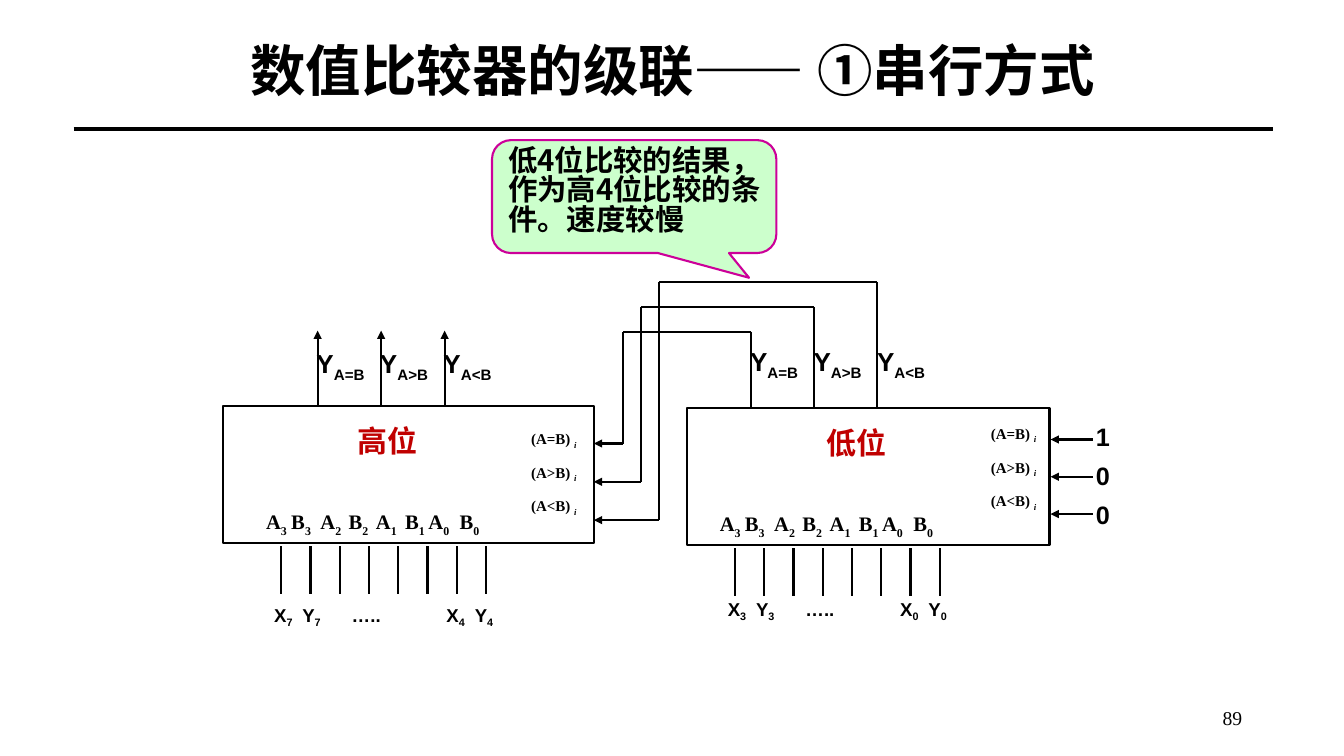
from lxml.etree import SubElement
from pptx import Presentation
from pptx.dml.color import RGBColor
from pptx.enum.shapes import MSO_CONNECTOR, MSO_SHAPE
from pptx.enum.text import MSO_ANCHOR, PP_ALIGN
from pptx.oxml.ns import qn
from pptx.util import Inches, Pt

COLORS = {"black": "000000", "white": "FFFFFF", "red": "C00000",
          "green": "CCFFCC", "magenta": "CC0099"}
CJK, SANS, SERIF = "Noto Sans CJK SC", "Arial", "Times New Roman"
RELATIONS = ["A=B", "A>B", "A<B"]
PINS = "A|3|\tB|3|\tA|2|\tB|2|\tA|1|\tB|1|\tA|0|\tB|0"
PIN_TABS = [0.25, 0.54, 0.82, 1.09, 1.38, 1.61, 1.92]
SIGNAL_TABS = [0.28, 0.77, 1.71, 1.99]


def rgb(name):
    return RGBColor.from_string(COLORS[name])


def write(tf, text, size, font=SANS, color="black", bold=True, align=PP_ALIGN.LEFT,
          spacing=None, before=0, anchor=MSO_ANCHOR.TOP, tabs=(), sub=-25, sub_italic=False):
    tf.word_wrap = True
    tf.vertical_anchor = anchor
    for i, line in enumerate(text.split("\n")):
        p = tf.paragraphs[0] if i == 0 else tf.add_paragraph()
        p.alignment = align
        p.space_before = Pt(before if i else 0)
        if spacing:
            p.line_spacing = spacing
        if tabs:
            tab_list = SubElement(p._p.get_or_add_pPr(), qn("a:tabLst"))
            for pos in tabs:
                SubElement(tab_list, qn("a:tab"), pos=str(Inches(pos)), algn="l")
        for j, part in enumerate(line.split("|")):
            if not part:
                continue
            r = p.add_run()
            r.text = part
            r.font.size = Pt(size)
            r.font.name = font
            r.font.bold = bold
            r.font.color.rgb = rgb(color)
            rpr = r._r.get_or_add_rPr()
            SubElement(rpr, qn("a:ea"), typeface=font)
            if j % 2:
                rpr.set("baseline", str(sub * 1000))
                r.font.italic = sub_italic


def add_text(s, x, y, w, h, text, size, **fmt):
    tb = s.shapes.add_textbox(Inches(x), Inches(y), Inches(w), Inches(h))
    write(tb.text_frame, text, size, **fmt)


def add_line(s, x1, y1, x2, y2, width=1.5, arrow=False):
    c = s.shapes.add_connector(MSO_CONNECTOR.STRAIGHT, Inches(x1), Inches(y1),
                               Inches(x2), Inches(y2))
    c.line.color.rgb = rgb("black")
    c.line.width = Pt(width)
    if arrow:
        SubElement(c.line._get_or_add_ln(), qn("a:headEnd"), type="triangle")
    SubElement(c._element.spPr, qn("a:effectLst"))


def add_box(s, shape, x, y, w, h, fill, line):
    sp = s.shapes.add_shape(shape, Inches(x), Inches(y), Inches(w), Inches(h))
    sp.shadow.inherit = False
    sp.fill.solid()
    sp.fill.fore_color.rgb = rgb(fill)
    sp.line.color.rgb = rgb(line)
    sp.line.width = Pt(1.5)
    return sp


def add_header(s, x, y, w):
    title = s.shapes.title
    title.left, title.top = Inches(x + 0.19), Inches(y)
    title.width, title.height = Inches(w - 0.4), Inches(0.7)
    write(title.text_frame, "数值比较器的级联—— ①串行方式", 39.6, font=CJK,
          align=PP_ALIGN.CENTER, spacing=0.9, anchor=MSO_ANCHOR.MIDDLE)
    add_line(s, x, y + 0.9, x + w, y + 0.9, width=3)


def add_callout(s, x, y, w, h):
    sp = add_box(s, MSO_SHAPE.ROUNDED_RECTANGULAR_CALLOUT, x, y, w, h, "green", "magenta")
    for i, value in enumerate([0.404, 0.719, 0.167]):
        sp.adjustments[i] = value
    add_text(s, x + 0.06, y + 0.03, w + 0.03, h + 0.04,
             "低4位比较的结果，作为高4位比较的条件。速度较慢", 21, font=CJK, spacing=0.83)


def add_comparator(s, x, y, w, h, name, name_x, pin_x, output_x, output_y,
                   cascade_x, cascade_y, signals, signal_y):
    add_box(s, MSO_SHAPE.RECTANGLE, x, y, w, h, "white", "black")
    add_text(s, x + name_x, y + 0.17, 1.04, 0.46, name, 21.4, font=CJK,
             color="red", spacing=0.83)
    for i, relation in enumerate(RELATIONS):
        add_text(s, x + output_x + 0.63 * i - 0.11, y + output_y, 0.95, 0.41,
                 f"Y|{relation}", 18.6)
        add_text(s, x + cascade_x, y + cascade_y + 0.335 * i, 0.94, 0.28,
                 f"({relation}) |i", 10.7, font=SERIF, sub_italic=True)
    for i in range(8):
        px = x + pin_x + 0.29 * i
        add_line(s, px, y + h + 0.03, px, y + h + 0.5)
    add_text(s, x + pin_x - 0.25, y + 0.75, 2.82, 0.77, PINS, 14.7, font=SERIF,
             spacing=1.2, anchor=MSO_ANCHOR.MIDDLE, tabs=PIN_TABS, sub=-30)
    first, last = signals
    add_text(s, x + pin_x - 0.17, y + signal_y, 2.61, 0.33,
             f"X|{first}|\tY|{first}|\t…..\tX|{last}|\tY|{last}", 13.3, tabs=SIGNAL_TABS)


def add_outputs(s, x, y):
    for i in range(3):
        add_line(s, x + 0.63 * i, y - 0.75, x + 0.63 * i, y, arrow=True)


def add_cascade(s, port_x, port_y, output_x, output_y):
    for i in range(3):
        bus, level = port_x + 0.29 + 0.18 * i, output_y - 0.76 - 0.245 * i
        port, output = port_y + 0.38 * i, output_x + 0.625 * i
        add_line(s, output, level, output, output_y)
        add_line(s, bus, level, output, level)
        add_line(s, bus, level, bus, port)
        add_line(s, port_x, port, bus, port, arrow=True)


def add_inputs(s, x, y):
    for i in range(3):
        add_line(s, x, y + 0.37 * i, x + 0.42, y + 0.37 * i, arrow=True)
    add_text(s, x + 0.35, y - 0.18, 0.69, 1.18, "1\n0\n0", 18, spacing=0.85, before=9.5)


def main():
    prs = Presentation()
    prs.slide_width, prs.slide_height = Inches(13.33), Inches(7.5)
    s = prs.slides.add_slide(prs.slide_layouts[5])
    add_header(s, 0.73, 0.38, 11.9)
    add_callout(s, 4.88, 1.39, 2.82, 1.12)
    add_comparator(s, 2.21, 4.03, 3.68, 1.36, "高位", name_x=1.24, pin_x=0.58,
                   output_x=0.94, output_y=-0.63, cascade_x=2.96, cascade_y=0.18,
                   signals=(7, 4), signal_y=1.91)
    add_comparator(s, 6.81, 4.05, 3.6, 1.36, "低位", name_x=1.29, pin_x=0.48,
                   output_x=0.64, output_y=-0.67, cascade_x=2.92, cascade_y=0.11,
                   signals=(3, 0), signal_y=1.83)
    add_outputs(s, 3.15, 4.03)
    add_cascade(s, 5.89, 4.4, 7.45, 4.05)
    add_inputs(s, 10.42, 4.36)
    add_text(s, 9.42, 6.95, 3, 0.4, "89", 14, font=SERIF, bold=False, align=PP_ALIGN.RIGHT)
    prs.save("out.pptx")


if __name__ == "__main__":
    main()
